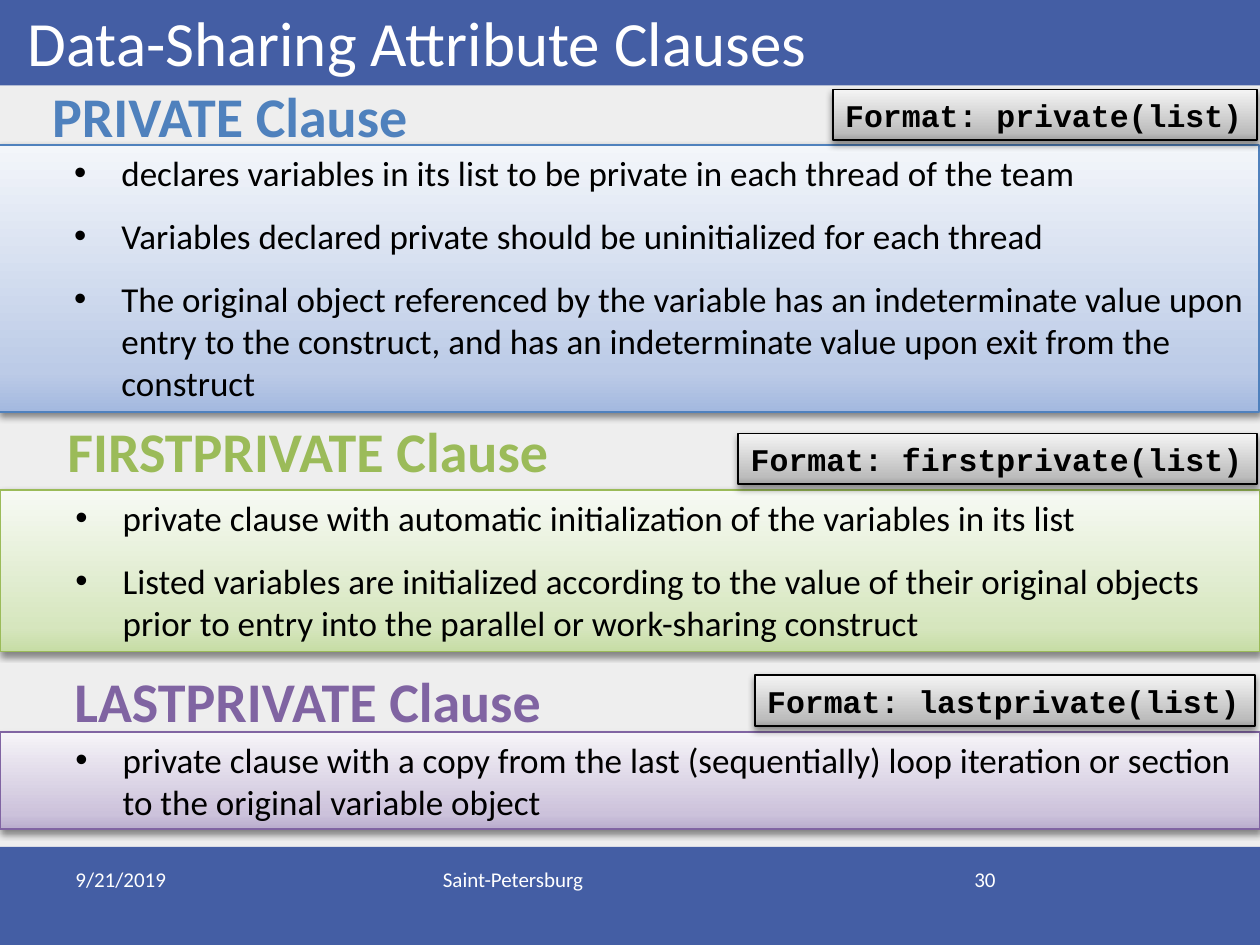
from dataclasses import dataclass

from lxml.etree import SubElement
from pptx import Presentation
from pptx.dml.color import RGBColor
from pptx.enum.shapes import MSO_SHAPE
from pptx.enum.text import MSO_ANCHOR, MSO_AUTO_SIZE, PP_ALIGN
from pptx.oxml.ns import qn
from pptx.util import Pt


@dataclass(frozen=True)
class Theme:
    background: str = "EEEEEE"
    band: str = "445EA4"
    light: str = "FFFFFF"
    dark: str = "000000"
    blue: tuple = ("4F81BD", "A3B8DF", "BCCBE7", "F3F6FA")
    green: tuple = ("9BBB59", "C7DDA6", "D6E6BE", "F7FAF4")
    purple: tuple = ("8064A2", "B9ACCD", "CCC2DB", "F6F4F8")
    gray: tuple = ("000000", "A2A2A2", "BDBDBD", "F4F4F4")
    text_font: str = "Calibri"
    code_font: str = "Courier New"
    title_size: int = 36
    heading_size: int = 32
    body_size: int = 20
    code_size: int = 18
    footer_size: int = 12


THEME = Theme()
SLIDE_WIDTH, SLIDE_HEIGHT = 720, 540


@dataclass(frozen=True)
class Clause:
    name: str
    palette: tuple
    heading_box: tuple
    format_box: tuple
    body_box: tuple
    points: tuple
    spacing: int = 12


CLAUSES = (
    Clause("PRIVATE", THEME.blue, (-0.7, 43.2, 264.2, 46),
           (475.9, 51.1, 242.6, 29), (-0.7, 82.8, 720, 152.6),
           ("declares variables in its list to be private in each thread of the team",
            "Variables declared private should be uninitialized for each thread",
            "The original object referenced by the variable has an indeterminate value "
            "upon entry to the construct, and has an indeterminate value upon exit "
            "from the construct")),
    Clause("FIRSTPRIVATE", THEME.green, (-2.9, 234.7, 357.8, 46),
           (421.9, 247.7, 296.6, 29), (0, 280.1, 720, 92.2),
           ("private clause with automatic initialization of the variables in its list",
            "Listed variables are initialized according to the value of their original "
            "objects prior to entry into the parallel or work-sharing construct")),
    Clause("LASTPRIVATE", THEME.purple, (1.4, 377.3, 349.2, 46),
           (431.3, 385.9, 285.8, 29), (0, 418.3, 720, 55.4),
           ("private clause with a copy from the last (sequentially) loop iteration or "
            "section to the original variable object",), 6),
)


def color(value):
    return RGBColor.from_string(value)


def points(box):
    return [Pt(length) for length in box]


def write(holder, lines, size, ink, font=THEME.text_font, bold=False,
          align=PP_ALIGN.LEFT, anchor=MSO_ANCHOR.TOP, wrap=True, grow=False):
    frame = holder.text_frame
    frame.text = "\n".join(lines)
    frame.word_wrap = wrap
    frame.vertical_anchor = anchor
    frame.auto_size = MSO_AUTO_SIZE.SHAPE_TO_FIT_TEXT if grow else MSO_AUTO_SIZE.NONE
    for paragraph in frame.paragraphs:
        paragraph.alignment = align
        for run in paragraph.runs:
            run.font.name = font
            run.font.size = Pt(size)
            run.font.bold = bold
            run.font.color.rgb = color(ink)


def add_text(slide, box, text, size, ink, **style):
    write(slide.shapes.add_textbox(*points(box)), [text], size, ink, **style)


def add_band(slide, top, height):
    band = slide.shapes.add_shape(
        MSO_SHAPE.RECTANGLE, *points((0, top, SLIDE_WIDTH, height)))
    band.shadow.inherit = False
    band.fill.solid()
    band.fill.fore_color.rgb = color(THEME.band)
    band.line.fill.background()


def add_panel(slide, box, palette):
    outline, *shades = palette
    panel = slide.shapes.add_shape(MSO_SHAPE.RECTANGLE, *points(box))
    panel.line.color.rgb = color(outline)
    panel.line.width = Pt(1)
    panel.fill.gradient()
    panel.fill.gradient_angle = 90
    properties = panel.element.spPr
    stops = properties.find(qn("a:gradFill")).find(qn("a:gsLst"))
    stops.clear()
    for position, shade in zip((0, 15, 100), shades):
        stop = SubElement(stops, qn("a:gs"), pos=str(position * 1000))
        SubElement(stop, qn("a:srgbClr"), val=shade)
    panel.shadow.inherit = False
    shadow = SubElement(properties.find(qn("a:effectLst")), qn("a:outerShdw"),
                        blurRad=str(Pt(4)), dist=str(Pt(2)), dir="5400000",
                        rotWithShape="0")
    shade = SubElement(shadow, qn("a:srgbClr"), val=THEME.dark)
    SubElement(shade, qn("a:alpha"), val="43000")
    return panel


def add_bullets(holder, spacing):
    for paragraph in holder.text_frame.paragraphs:
        paragraph.level = 1
        paragraph.space_before = Pt(spacing)
        properties = paragraph._p.get_or_add_pPr()
        properties.set("marL", str(Pt(63)))
        properties.set("indent", str(Pt(-27)))
        SubElement(properties, qn("a:buFont"), typeface="Arial")
        SubElement(properties, qn("a:buChar"), char="•")


def add_clause(slide, clause):
    body = add_panel(slide, clause.body_box, clause.palette)
    write(body, clause.points, THEME.body_size, THEME.dark, grow=True)
    add_bullets(body, clause.spacing)
    add_text(slide, clause.heading_box, f"{clause.name} Clause", THEME.heading_size,
             clause.palette[0], bold=True, align=PP_ALIGN.CENTER, wrap=False, grow=True)
    syntax = add_panel(slide, clause.format_box, THEME.gray)
    write(syntax, [f"Format: {clause.name.lower()}(list)"], THEME.code_size, THEME.dark,
          font=THEME.code_font, bold=True, wrap=False, grow=True)


def add_footer(slide):
    for left, width, text, align in (
            (36, 168, "9/21/2019", PP_ALIGN.LEFT),
            (516, 60, "30", PP_ALIGN.RIGHT),
            (246, 228, "Saint-Petersburg", PP_ALIGN.LEFT)):
        add_text(slide, (left, 491.8, width, 37.4), text,
                 THEME.footer_size, THEME.light, align=align)


def main():
    deck = Presentation()
    deck.slide_width, deck.slide_height = Pt(SLIDE_WIDTH), Pt(SLIDE_HEIGHT)
    slide = deck.slides.add_slide(deck.slide_layouts[6])
    slide.background.fill.solid()
    slide.background.fill.fore_color.rgb = color(THEME.background)
    add_band(slide, 484, 56)
    add_band(slide, 0, 48.8)
    add_text(slide, (8.6, -15.1, 648, 64), "Data-Sharing Attribute Clauses",
             THEME.title_size, THEME.light, anchor=MSO_ANCHOR.BOTTOM)
    add_footer(slide)
    for clause in CLAUSES:
        add_clause(slide, clause)
    deck.save("out.pptx")


if __name__ == "__main__":
    main()
